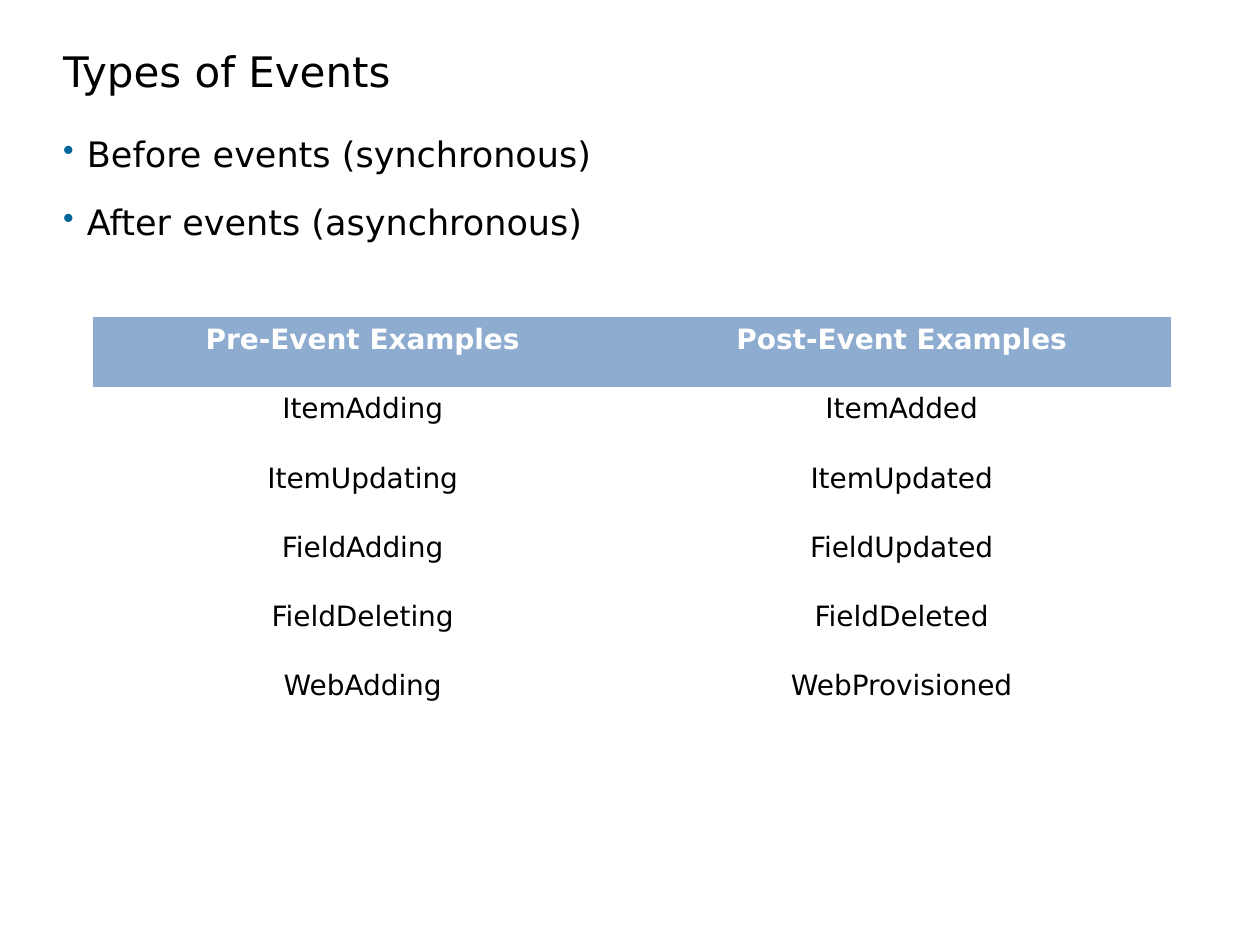
from lxml.etree import SubElement
from pptx import Presentation
from pptx.dml.color import RGBColor
from pptx.enum.text import MSO_ANCHOR as Anchor, MSO_AUTO_SIZE as AutoSize, PP_ALIGN as Align
from pptx.oxml.ns import qn
from pptx.util import Pt

BLACK = RGBColor(0x00, 0x00, 0x00)
WHITE = RGBColor(0xFF, 0xFF, 0xFF)
HEADER_BLUE = RGBColor(0x8D, 0xAC, 0xD0)
BULLET_BLUE = RGBColor(0x00, 0x66, 0x99)
FONT = "DejaVu Sans"
NO_GRID_STYLE = "{2D5ABB26-0587-4C30-8999-92F81FD0307C}"

BULLETS = ["Before events (synchronous)", "After events (asynchronous)"]
EVENTS = [
    ("Pre-Event Examples", "Post-Event Examples"),
    ("ItemAdding", "ItemAdded"),
    ("ItemUpdating", "ItemUpdated"),
    ("FieldAdding", "FieldUpdated"),
    ("FieldDeleting", "FieldDeleted"),
    ("WebAdding", "WebProvisioned"),
]


def format_runs(p, size, color=BLACK, bold=False):
    for r in p.runs:
        r.font.name = FONT
        r.font.size = Pt(size)
        r.font.bold = bold
        r.font.color.rgb = color


def set_title(slide, text):
    s = slide.shapes.title
    s.left, s.top, s.width, s.height = Pt(36), Pt(0), Pt(612), Pt(58.3)
    tf = s.text_frame
    tf.text = text
    tf.auto_size = AutoSize.NONE
    tf.vertical_anchor = Anchor.BOTTOM
    tf.margin_left = 0
    p = tf.paragraphs[0]
    p.alignment = Align.LEFT
    p.line_spacing = 0.85
    format_runs(p, 24)


def set_bullet(p):
    pPr = p._p.get_or_add_pPr()
    pPr.set("marL", str(Pt(13.7)))
    pPr.set("indent", str(-Pt(13.7)))
    color = SubElement(pPr, qn("a:buClr"))
    SubElement(color, qn("a:srgbClr"), val=str(BULLET_BLUE))
    SubElement(pPr, qn("a:buSzPct"), val="90000")
    SubElement(pPr, qn("a:buChar"), char="•")


def add_bullets(slide, items):
    tf = slide.shapes.add_textbox(Pt(36), Pt(78.5), Pt(610.5), Pt(170.6)).text_frame
    tf.word_wrap = True
    tf.margin_left = tf.margin_top = tf.margin_right = tf.margin_bottom = 0
    tf.text = "\n".join(items)
    for i, p in enumerate(tf.paragraphs):
        set_bullet(p)
        p.line_spacing = 0.9
        if i:
            p.space_before = Pt(17.5)
        format_runs(p, 20)


def add_event_table(slide, rows):
    frame = slide.shapes.add_table(
        len(rows), len(rows[0]), Pt(53.3), Pt(181.3), Pt(616), Pt(237.6))
    table = frame.table
    table.first_row = table.horz_banding = False
    table._tbl.tblPr.find(qn("a:tableStyleId")).text = NO_GRID_STYLE
    for i, row in enumerate(rows):
        for j, text in enumerate(row):
            cell = table.cell(i, j)
            cell.text = text
            cell.fill.solid()
            cell.fill.fore_color.rgb = WHITE if i else HEADER_BLUE
            p = cell.text_frame.paragraphs[0]
            p.alignment = Align.CENTER
            format_runs(p, 16, BLACK if i else WHITE, bold=i == 0)


def main():
    prs = Presentation()
    prs.slide_width, prs.slide_height = Pt(720), Pt(540)
    slide = prs.slides.add_slide(prs.slide_layouts[5])
    set_title(slide, "Types of Events")
    add_bullets(slide, BULLETS)
    add_event_table(slide, EVENTS)
    prs.save("out.pptx")


if __name__ == "__main__":
    main()
